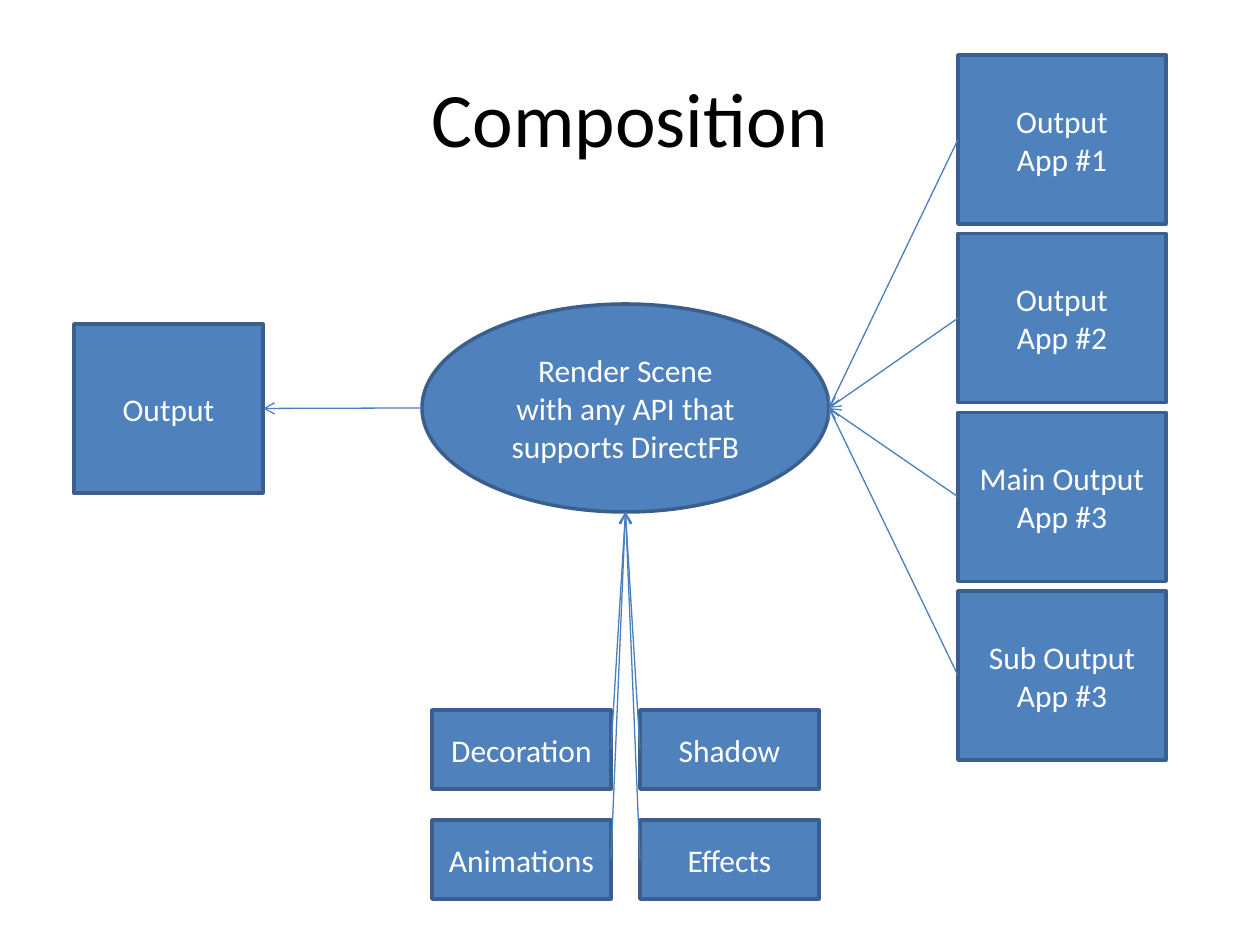
from lxml import etree
from pptx import Presentation
from pptx.dml.color import RGBColor
from pptx.enum.shapes import MSO_CONNECTOR, MSO_SHAPE
from pptx.enum.text import MSO_ANCHOR, PP_ALIGN
from pptx.oxml.ns import qn
from pptx.util import Inches, Pt

RECT, OVAL = MSO_SHAPE.RECTANGLE, MSO_SHAPE.OVAL
STRAIGHT = MSO_CONNECTOR.STRAIGHT
MIDDLE, CENTER = MSO_ANCHOR.MIDDLE, PP_ALIGN.CENTER

BLUE = RGBColor(0x4F, 0x81, 0xBD)
EDGE = RGBColor(0x3A, 0x5F, 0x8C)
ARROW = RGBColor(0x4B, 0x7E, 0xBC)
WHITE = RGBColor(0xFF, 0xFF, 0xFF)
BLACK = RGBColor(0, 0, 0)

FONT = "Calibri"
SCALE = Inches(1) / 126
LEFT_SITE, RIGHT_SITE = 1, 3  # connection sites of a rectangle


def emu(*pixels):
    return [round(p * SCALE) for p in pixels]


def write(frame, text, size=18, color=WHITE):
    frame.word_wrap = True
    frame.vertical_anchor = MIDDLE
    frame.text = text
    for paragraph in frame.paragraphs:
        paragraph.alignment = CENTER
        font = paragraph.font
        font.name, font.size = FONT, Pt(size)
        font.color.rgb = color


def add_node(slide, box, text, kind=RECT):
    node = slide.shapes.add_shape(kind, *emu(*box))
    node.shadow.inherit = False
    node.fill.solid()
    node.fill.fore_color.rgb = BLUE
    node.line.color.rgb = EDGE
    node.line.width = Pt(2)
    write(node.text_frame, text)
    return node


def add_arrow(slide, start, end):
    arrow = slide.shapes.add_connector(STRAIGHT, *emu(*start, *end))
    arrow.line.color.rgb = ARROW
    arrow.line.width = Pt(0.75)
    properties = arrow._element.spPr
    etree.SubElement(properties.find(qn("a:ln")), qn("a:tailEnd"), type="arrow")
    etree.SubElement(properties, qn("a:effectLst"))
    return arrow


def add_title(slide, box, text):
    title = slide.shapes.add_textbox(*emu(*box))
    write(title.text_frame, text, size=44, color=BLACK)


def add_grid(slide, box, rows, node_width, node_height):
    """Spread rows of nodes evenly over the box; return them by row."""
    left, top, width, height = box
    x_step = (width - node_width) / max(len(rows[0]) - 1, 1)
    y_step = (height - node_height) / max(len(rows) - 1, 1)
    return [
        [add_node(slide, (left + c * x_step, top + r * y_step,
                          node_width, node_height), text)
         for c, text in enumerate(row)]
        for r, row in enumerate(rows)
    ]


def add_composition(slide, box):
    left, top, width, height = box

    # Nodes around the scene
    output = add_node(slide, (left, top + 269, 189, 169), "Output")
    apps = add_grid(
        slide, (left + width - 208, top, 208, height - 139),
        [["Output\nApp #1"], ["Output\nApp #2"],
         ["Main Output\nApp #3"], ["Sub Output\nApp #3"]], 208, 169)
    effects = add_grid(
        slide, (left + 358, top + height - 189, 387, 189),
        [["Decoration", "Shadow"], ["Animations", "Effects"]], 179, 79)

    # Render scene
    scene_x, scene_y, scene_w, scene_h = left + 348, top + 249, 407, 208
    add_node(slide, (scene_x, scene_y, scene_w, scene_h),
             "Render Scene\nwith any API that supports DirectFB", OVAL)
    middle = scene_y + scene_h / 2
    scene_left = scene_x, middle
    scene_right = scene_x + scene_w, middle
    scene_bottom = scene_x + scene_w / 2, scene_y + scene_h

    # Arrows into the scene
    inputs = [(app, LEFT_SITE, scene_right) for (app,) in apps]
    for left_effect, right_effect in effects:
        inputs += [(left_effect, RIGHT_SITE, scene_bottom),
                   (right_effect, LEFT_SITE, scene_bottom)]
    for node, site, target in inputs:
        add_arrow(slide, target, target).begin_connect(node, site)

    # Arrow from the scene to the output
    add_arrow(slide, scene_left, scene_left).end_connect(output, RIGHT_SITE)


deck = Presentation()
deck.slide_width, deck.slide_height = Inches(10), Inches(7.5)
composition_slide = deck.slides.add_slide(deck.slide_layouts[6])
add_title(composition_slide, (63, 38, 1134, 158), "Composition")
add_composition(composition_slide, (74, 55, 1092, 844))
deck.save("out.pptx")
